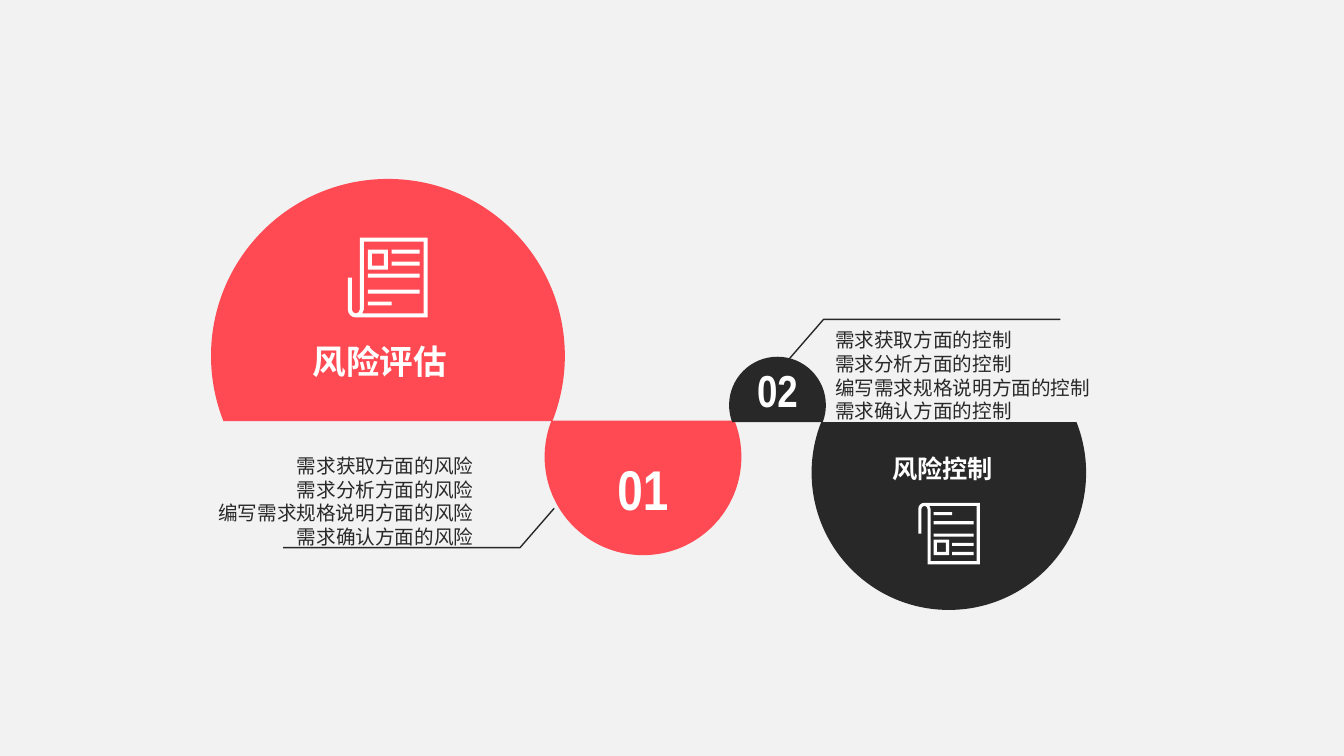
from itertools import pairwise
from math import asin, cos, pi, sin, tan
from lxml.etree import SubElement
from pptx import Presentation
from pptx.dml.color import RGBColor
from pptx.enum.shapes import MSO_SHAPE
from pptx.enum.text import MSO_ANCHOR as Anchor, PP_ALIGN as Align
from pptx.oxml.ns import qn
from pptx.util import Cm, Pt

RED, DARK, WHITE, PAPER = "FF4A53", "282828", "FFFFFF", "F2F2F2"
TITLE_FONT, LIST_FONT, NUMBER_FONT = "Noto Sans CJK SC", "Noto Sans CJK JP", "Arial Narrow"


def color(hex_value):
    return RGBColor.from_string(hex_value)


def lines(*points):
    return [[point] for point in points]


def curves(cx, cy, radius, angles):
    segments = []
    for a, b in pairwise(angles):
        k = 4 / 3 * tan((b - a) / 4)
        around = [(cos(a) - k * sin(a), sin(a) + k * cos(a)),
                  (cos(b) + k * sin(b), sin(b) - k * cos(b)),
                  (cos(b), sin(b))]
        segments.append([(cx + radius * x, cy + radius * y) for x, y in around])
    return segments


def square(left, top, size):
    right, bottom = left + size, top + size
    return lines((left, top), (right, top), (right, bottom), (left, bottom))


class RiskSlide:
    def __init__(self, deck):
        self.slide = deck.slides.add_slide(deck.slide_layouts[6])
        self.slide.background.fill.solid()
        self.slide.background.fill.fore_color.rgb = color(PAPER)
        self.shapes = self.slide.shapes

    def paint(self, shape, fill):
        shape.shadow.inherit = False
        shape.fill.solid()
        shape.fill.fore_color.rgb = color(fill)
        shape.line.fill.background()

    def trace(self, contours, close=True):
        outline = None
        for contour in contours:
            points = [(Cm(x), Cm(y)) for segment in contour for x, y in segment]
            if outline is None:
                outline = self.shapes.build_freeform(*points[0])
            else:
                outline.move_to(*points[0])
            outline.add_line_segments(points[1:], close=close)
        shape = outline.convert_to_shape()
        steps = iter(list(shape._element.iter(qn("a:lnTo"))))
        for segment in [segment for contour in contours for segment in contour[1:]]:
            group = [next(steps) for _ in segment]
            if len(group) == 3:
                group[0].tag = qn("a:cubicBezTo")
                for step in group[1:]:
                    group[0].append(step[0])
                    step.getparent().remove(step)
        return shape

    def cut_circle(self, cx, cy, radius, cut, fill):
        start = asin((cut - cy) / radius)
        turn = -1 if cut > cy else 1
        angles = [start, 0, turn * pi / 2, turn * pi, turn * pi - start]
        corner = (cx + radius * cos(start), cut)
        self.paint(self.trace([lines(corner) + curves(cx, cy, radius, angles)]), fill)

    def callout(self, *points):
        leader = self.trace([lines(*points)], close=False)
        leader.shadow.inherit = False
        leader.fill.background()
        leader.line.color.rgb = color(DARK)
        leader.line.width = Pt(1)

    def document_icon(self, left, top, size, flipped=False):
        unit = size / 20

        def place(contour):
            return [[(left + x * unit, top + (20 - y if flipped else y) * unit)
                     for x, y in segment] for segment in contour]

        scroll = (lines((3, 0), (3, 18)) + curves(2, 18, 1, [0, pi / 2, pi])
                  + lines((1, 10), (0, 10), (0, 18)) + curves(2, 18, 2, [pi, pi / 2])
                  + lines((20, 20), (20, 0)))
        page = lines((19, 19), (3.6, 19), (4, 18), (4, 1), (19, 1))
        for contours in ([scroll, page], [square(5, 3, 5), square(6, 4, 3)]):
            self.paint(self.trace([place(contour) for contour in contours]), WHITE)
        for x, y, width in [(11, 3, 7), (11, 6, 7), (5, 9, 13), (5, 13, 13), (5, 16, 6)]:
            row = 19 - y if flipped else y
            bar = self.shapes.add_shape(
                MSO_SHAPE.RECTANGLE, Cm(left + x * unit), Cm(top + row * unit),
                Cm(width * unit), Cm(unit))
            self.paint(bar, WHITE)

    def text(self, rows, left, top, width, height, font, size, fill=WHITE,
             bold=True, align=Align.CENTER, anchor=Anchor.MIDDLE, spacing=None):
        box = self.shapes.add_textbox(Cm(left), Cm(top), Cm(width), Cm(height))
        frame = box.text_frame
        frame.word_wrap = True
        frame.vertical_anchor = anchor
        frame.text = "\n".join(rows)
        for paragraph in frame.paragraphs:
            paragraph.alignment = align
            paragraph.line_spacing = spacing
            paragraph.font.size = Pt(size)
            paragraph.font.bold = bold
            paragraph.font.color.rgb = color(fill)
            paragraph.font.name = font
            defaults = paragraph._p.get_or_add_pPr().find(qn("a:defRPr"))
            SubElement(defaults, qn("a:ea")).set("typeface", font)

    def topics(self, noun, left, top, align):
        stages = ["需求获取", "需求分析", "编写需求规格说明", "需求确认"]
        self.text([f"{stage}方面的{noun}" for stage in stages], left, top, 8.99, 2.64,
                  LIST_FONT, 14, DARK, False, align, Anchor.TOP, Pt(17))


def main():
    deck = Presentation()
    deck.slide_width, deck.slide_height = Cm(33.88), Cm(19.05)
    risk = RiskSlide(deck)

    risk.cut_circle(9.78, 8.97, 4.46, 10.61, RED)
    risk.document_icon(8.77, 5.99, 2.01)
    risk.text(["风险评估"], 6.99, 8.46, 5.18, 1.27, TITLE_FONT, 24)
    risk.callout((13.97, 12.81), (13.11, 13.8), (7.14, 13.8))
    risk.topics("风险", 3.2, 11.3, Align.RIGHT)
    risk.cut_circle(16.21, 11.51, 2.48, 10.6, RED)
    risk.text(["01"], 13.53, 11.33, 5.36, 1.96, NUMBER_FONT, 40)

    risk.cut_circle(19.6, 10.21, 1.22, 10.64, DARK)
    risk.text(["02"], 18.28, 9, 2.64, 1.63, NUMBER_FONT, 32)
    risk.cut_circle(23.92, 11.91, 3.46, 10.64, DARK)
    risk.document_icon(23.15, 12.67, 1.55, flipped=True)
    risk.text(["风险控制"], 21.76, 11.3, 4.01, 1.02, TITLE_FONT, 18)
    risk.callout((19.9, 9.04), (20.76, 8.05), (26.73, 8.05))
    risk.topics("控制", 20.8, 8.13, Align.LEFT)

    deck.save("out.pptx")


if __name__ == "__main__":
    main()
